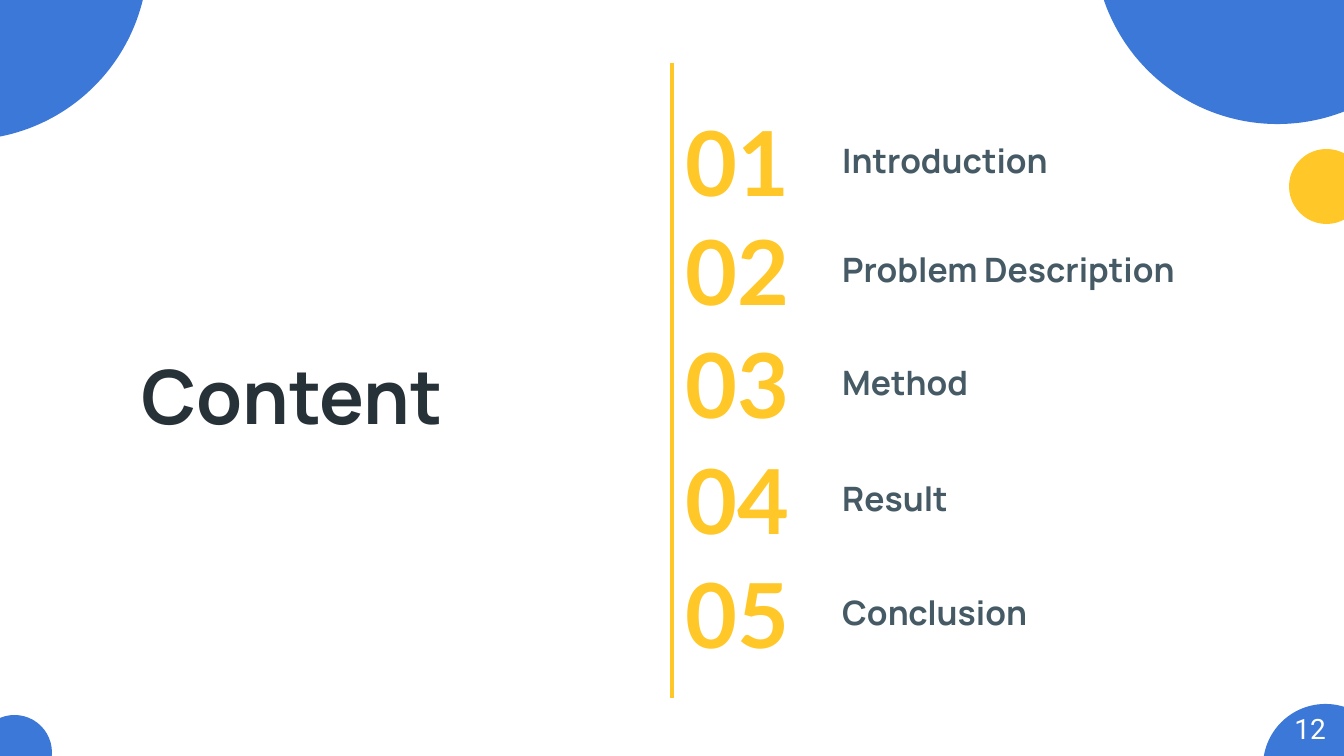
import pptx
import pptx.util
import pptx.dml.color
import pptx.enum.shapes
import pptx.enum.text
import pptx.oxml.ns
import lxml.etree

BLUE, GOLD, INK, SLATE, WHITE = "3C78D8", "FFC727", "263238", "455A64", "FFFFFF"
WIDE, HIGH = 1344, 756

# Content: label and top of each row
ROWS = [
    ("Introduction", 106),
    ("Problem Description", 215),
    ("Method", 328),
    ("Result", 444),
    ("Conclusion", 558),
]
# Circles: left, top, size, colour
DOTS = [
    (1263, 704, 125, BLUE),
    (1094, -243, 367, BLUE),
    (-219, -227, 367, BLUE),
    (1289, 149, 75, GOLD),
    (-23, 715, 75, BLUE),
]
ALIGN = pptx.enum.text.PP_ALIGN
ANCHOR = pptx.enum.text.MSO_ANCHOR


def px(num):
    return round(num * 914400 / 134.4)


def rgb(code):
    return pptx.dml.color.RGBColor.from_string(code)


def write(shape, text, size, font, color, bold=True,
          align=ALIGN.LEFT, anchor=ANCHOR.MIDDLE):
    frame = shape.text_frame
    frame.word_wrap = True
    frame.auto_size = pptx.enum.text.MSO_AUTO_SIZE.NONE
    frame.vertical_anchor = anchor
    frame.margin_left = frame.margin_right = pptx.util.Inches(0.1)
    frame.margin_top = frame.margin_bottom = pptx.util.Inches(0.1)
    para = frame.paragraphs[0]
    para.alignment = align
    para.line_spacing = 1.0
    para.space_before = pptx.util.Pt(0)
    run = para.add_run()
    run.text = text
    run.font.size = pptx.util.Pt(size)
    run.font.name = font
    run.font.bold = bold
    run.font.color.rgb = rgb(color)


def main():
    deck = pptx.Presentation()
    deck.slide_width, deck.slide_height = px(WIDE), px(HIGH)
    slide = deck.slides.add_slide(deck.slide_layouts[5])
    shapes = slide.shapes

    def box(left, top, width, height, text, **form):
        area = shapes.add_textbox(px(left), px(top), px(width), px(height))
        write(area, text, **form)

    # Corner circles
    for left, top, size, color in DOTS:
        dot = shapes.add_shape(pptx.enum.shapes.MSO_SHAPE.OVAL,
                               px(left), px(top), px(size), px(size))
        dot.shadow.inherit = False
        dot.fill.solid()
        dot.fill.fore_color.rgb = rgb(color)
        dot.line.fill.background()

    # Title
    title = shapes.title
    title.left, title.top = px(116), px(336)
    title.width, title.height = px(352), px(85)
    write(title, "Content", size=40, font="Manrope", color=INK,
          align=ALIGN.CENTER, anchor=ANCHOR.TOP)

    # Divider
    mid = px(WIDE / 2)
    rule = shapes.add_connector(pptx.enum.shapes.MSO_CONNECTOR.STRAIGHT,
                                mid, px(63), mid, px(698))
    rule.line.color.rgb = rgb(GOLD)
    rule.line.width = pptx.util.Pt(2.25)
    lxml.etree.SubElement(rule._element.spPr, pptx.oxml.ns.qn("a:effectLst"))

    # Numbered rows
    for num, (label, top) in enumerate(ROWS, 1):
        box(672, top, 157, 109, f"{num:02d}",
            size=48, font="Lato", color=GOLD)
        box(829, top + 25, 410, 59, label,
            size=18, font="Manrope", color=SLATE)

    # Page number
    box(1258, 698, 81, 58, "12", size=15, font="Roboto", color=WHITE,
        bold=False, align=ALIGN.RIGHT, anchor=ANCHOR.TOP)

    deck.save("out.pptx")


if __name__ == "__main__":
    main()
